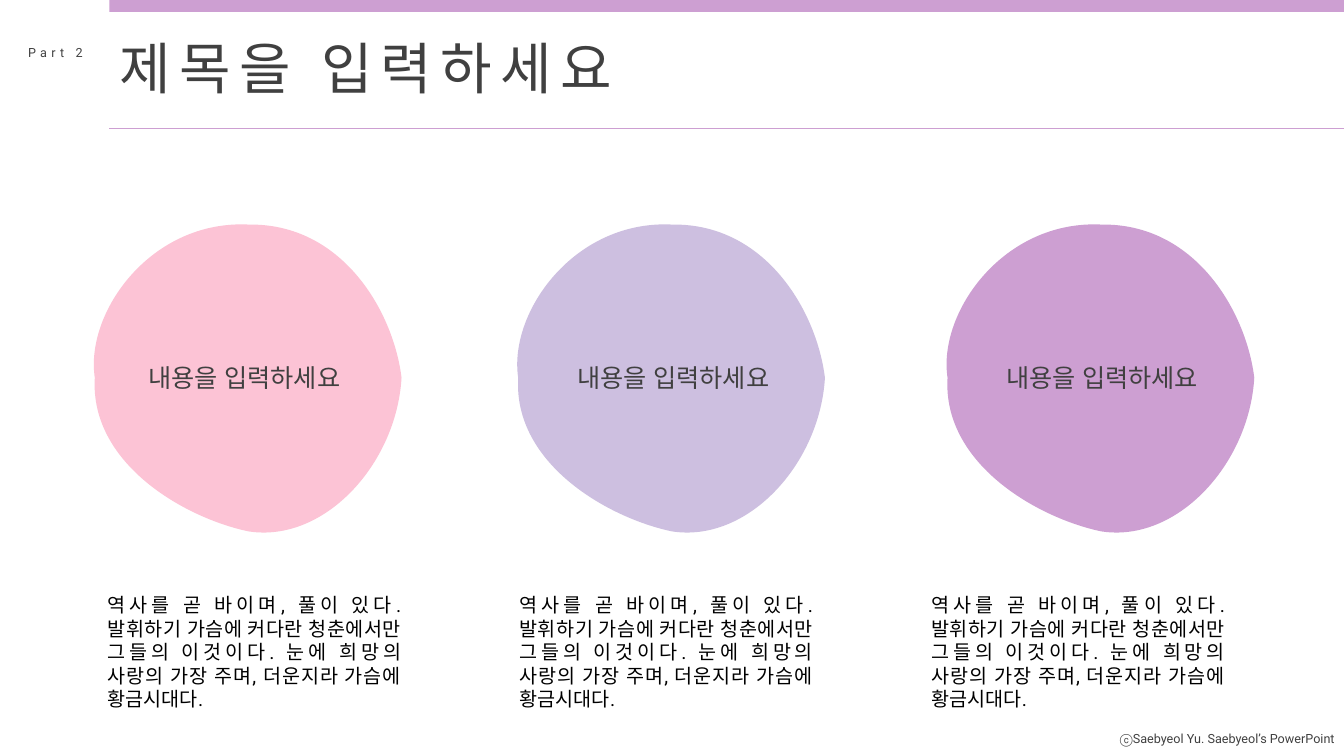
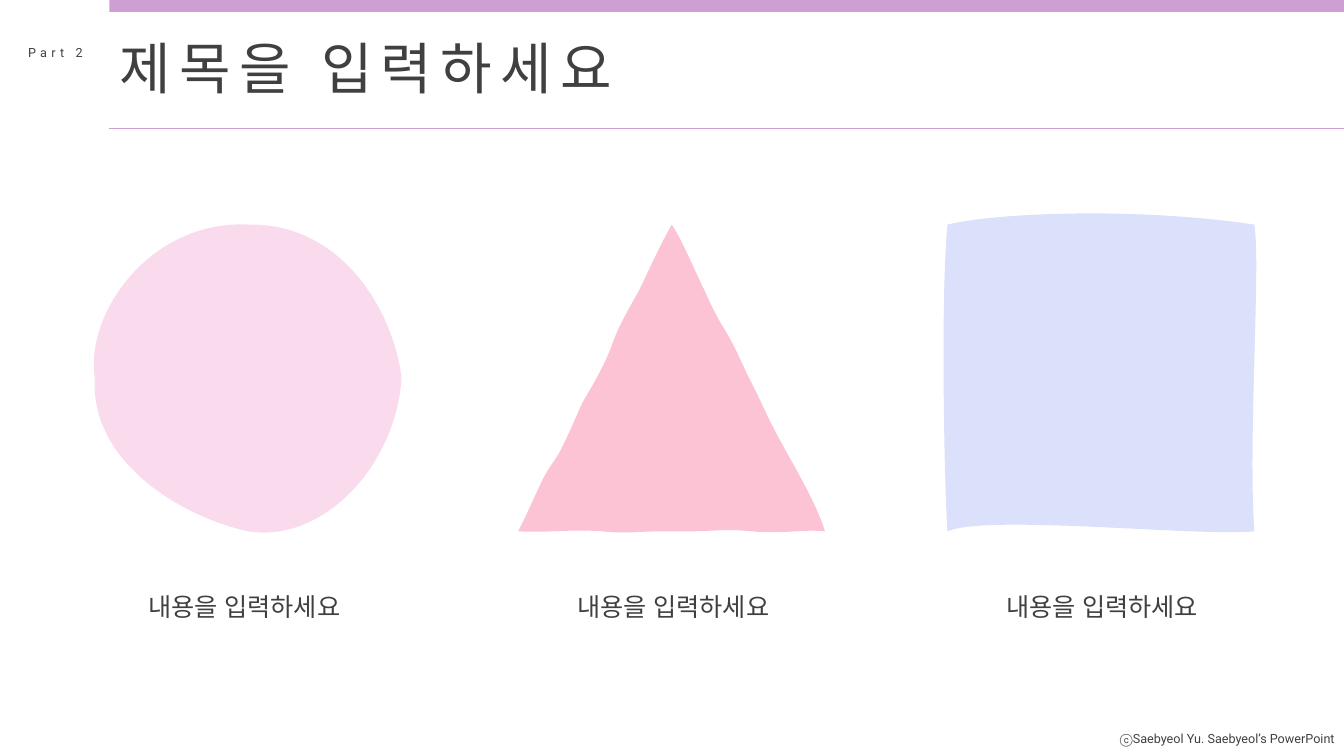
import pptx
import pptx.dml.color
import pptx.enum.shapes
import pptx.enum.text
import pptx.oxml.ns
import pptx.util
from lxml import etree

Cm = pptx.util.Cm
Align = pptx.enum.text.PP_ALIGN
qn = pptx.oxml.ns.qn

FONT = "Roboto"
DARK, BLACK = "404040", "000000"
PINK, LAVENDER, ORCHID = "FCC3D5", "CDBFE0", "CD9FD2"
BLUSH, PERIWINKLE = "FADBEE", "DBE0FB"

SLIDE_WIDTH, SLIDE_HEIGHT = 33.87, 19.05
HEADER_LEFT, RULE_TOP = 2.76, 3.24
FIGURE_LEFTS, FIGURE_TOP = (2.39, 13.06, 23.88), 5.66
LABEL_LEFT, LABEL_PITCH = 3.48, 10.81
BODY_LEFT, BODY_PITCH = 2.46, 10.38

TITLE = "제목을 입력하세요"
LABEL = "내용을 입력하세요"
BODY = ("역사를 곧 바이며, 풀이 있다. 발휘하기 가슴에 커다란 청춘에서만 그들의 이것이다. "
        "눈에 희망의 사랑의 가장 주며, 더운지라 가슴에 황금시대다.")

# Outlines in cm: a start point, then Bézier segments (two controls and an end)
CIRCLE = [
    (0, 3.86),
    (-0.25, 2.21, 1.42, -0.13, 3.89, 0),
    (6.22, -0.03, 7.52, 2.16, 7.73, 3.86),
    (7.6, 6.05, 5.77, 8.03, 3.87, 7.73),
    (2.26, 7.39, -0.13, 6.02, 0, 3.86),
]
TRIANGLE = [
    (0, 7.73),
    (0.43, 6.88, 0.58, 6.4, 0.86, 6.02),
    (1.14, 5.66, 1.47, 4.78, 1.63, 4.47),
    (1.8, 4.17, 2.11, 3.68, 2.34, 3.1),
    (2.54, 2.49, 2.84, 2.06, 3.1, 1.55),
    (3.35, 1.02, 3.61, 0.46, 3.87, 0),
    (4.09, 0.33, 4.37, 0.97, 4.57, 1.4),
    (4.78, 1.83, 4.9, 2.16, 5.23, 2.69),
    (5.56, 3.25, 5.64, 3.53, 5.89, 4.01),
    (6.15, 4.52, 6.35, 5, 6.63, 5.49),
    (6.88, 5.97, 7.52, 7.01, 7.73, 7.73),
    (7.24, 7.67, 6.68, 7.8, 5.89, 7.73),
    (5.11, 7.65, 4.88, 7.75, 3.89, 7.73),
    (2.87, 7.72, 2.9, 7.8, 2.11, 7.73),
    (1.3, 7.67, 0.74, 7.77, 0, 7.73),
]
SQUARE = [
    (0, 0),
    (1.14, -0.28, 4.6, -0.46, 7.73, 0),
    (7.9, 0.97, 7.57, 5.31, 7.73, 7.73),
    (6.4, 7.87, 0.94, 7.29, 0, 7.73),
    (-0.08, 6.71, -0.18, 1.75, 0, 0),
]

# Per slide: figures, top of the labels, top of the body texts if any
SLIDES = [
    ([(CIRCLE, PINK), (CIRCLE, LAVENDER), (CIRCLE, ORCHID)], 9.01, 14.82),
    ([(CIRCLE, BLUSH), (TRIANGLE, PINK), (SQUARE, PERIWINKLE)], 14.78, None),
]


def paint(fill, color):
    """Make a fill (of a shape, line or font) solid in a hex colour."""
    fill.solid()
    fill.fore_color.rgb = pptx.dml.color.RGBColor.from_string(color)


def write_text(text, shape, box, size, color=DARK, align=Align.LEFT,
               spacing=0, wrap=False):
    """Place a text shape at box (cm) and write one formatted paragraph."""
    shape.left, shape.top, shape.width, shape.height = map(Cm, box)
    frame = shape.text_frame
    frame.auto_size = pptx.enum.text.MSO_AUTO_SIZE.NONE
    frame.vertical_anchor = pptx.enum.text.MSO_ANCHOR.TOP
    frame.word_wrap = wrap
    paragraph = frame.paragraphs[0]
    paragraph.alignment = align
    run = paragraph.add_run()
    run.text = text
    run.font.name = FONT
    run.font.size = pptx.util.Pt(size)
    paint(run.font.fill, color)
    properties = run.font._element
    if spacing:
        properties.set("spc", str(spacing * 100))
    etree.SubElement(properties, qn("a:ea")).set("typeface", FONT)


presentation = pptx.Presentation()
presentation.slide_width = Cm(SLIDE_WIDTH)
presentation.slide_height = Cm(SLIDE_HEIGHT)
title_only = presentation.slide_layouts[5]
slides = [presentation.slides.add_slide(title_only) for _ in SLIDES]

# The footer belongs to the layout, so that every slide shows it
footer = slides[0].shapes.add_textbox(0, 0, 0, 0)
write_text("ⓒSaebyeol Yu. Saebyeol’s PowerPoint", footer,
           (27.87, 18.3, 6.01, 0.64), size=9, align=Align.RIGHT)
footer._element.nvSpPr.cNvPr.set("id", "20")
title_only.shapes._spTree.append(footer._element)

for slide, (figures, label_top, body_top) in zip(slides, SLIDES):
    shapes = slide.shapes

    # Three columns
    for column, (outline, color) in enumerate(figures):
        start, *segments = outline
        left, top = Cm(FIGURE_LEFTS[column]), Cm(FIGURE_TOP)
        builder = shapes.build_freeform(*map(Cm, start))
        builder.add_line_segments(
            [(Cm(x), Cm(y)) for *_, x, y in segments], close=True)
        figure = builder.convert_to_shape(left, top)
        # Bend each straight segment by its two control points
        lines = list(figure._element.iter(qn("a:lnTo")))
        for line, (x1, y1, x2, y2, *_) in zip(lines, segments):
            line.tag = qn("a:cubicBezTo")
            for index, (x, y) in enumerate([(x1, y1), (x2, y2)]):
                point = etree.Element(qn("a:pt"), x=str(int(Cm(x))), y=str(int(Cm(y))))
                line.insert(index, point)
        figure.shadow.inherit = False
        paint(figure.fill, color)
        figure.line.fill.background()

    for column in range(len(figures)):
        write_text(LABEL, shapes.add_textbox(0, 0, 0, 0),
                   (LABEL_LEFT + column * LABEL_PITCH, label_top, 5.36, 1.02),
                   size=18, align=Align.CENTER)

    # Header
    band = shapes.add_shape(
        pptx.enum.shapes.MSO_SHAPE.RECTANGLE,
        Cm(HEADER_LEFT), 0, Cm(SLIDE_WIDTH - HEADER_LEFT), Cm(0.3))
    band.shadow.inherit = False
    paint(band.fill, ORCHID)
    band.line.fill.background()

    write_text(TITLE, shapes.title, (HEADER_LEFT, 0.71, 13.18, 1.96),
               size=40, spacing=6)

    rule = shapes.add_connector(
        pptx.enum.shapes.MSO_CONNECTOR.STRAIGHT,
        Cm(HEADER_LEFT), Cm(RULE_TOP), Cm(SLIDE_WIDTH), Cm(RULE_TOP))
    paint(rule.line.fill, ORCHID)
    rule.line.width = pptx.util.Pt(0.5)
    etree.SubElement(rule._element.spPr, qn("a:effectLst"))

    write_text("Part 2", shapes.add_textbox(0, 0, 0, 0),
               (0.46, 1.01, 2.01, 0.64), size=9, spacing=3)

    if body_top is not None:
        for column in range(len(figures)):
            write_text(BODY, shapes.add_textbox(0, 0, 0, 0),
                       (BODY_LEFT + column * BODY_PITCH, body_top, 7.9, 2.64),
                       size=14, color=BLACK, align=Align.JUSTIFY, wrap=True)

presentation.save("out.pptx")
